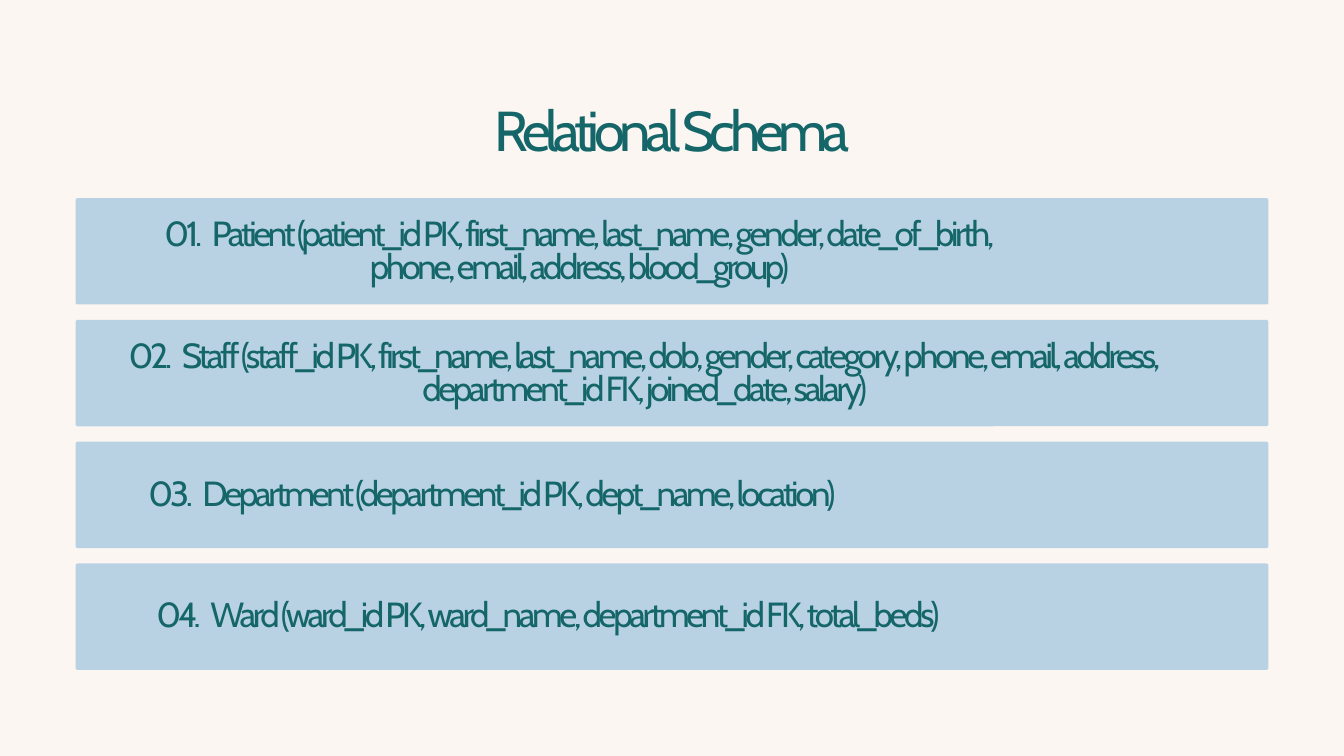
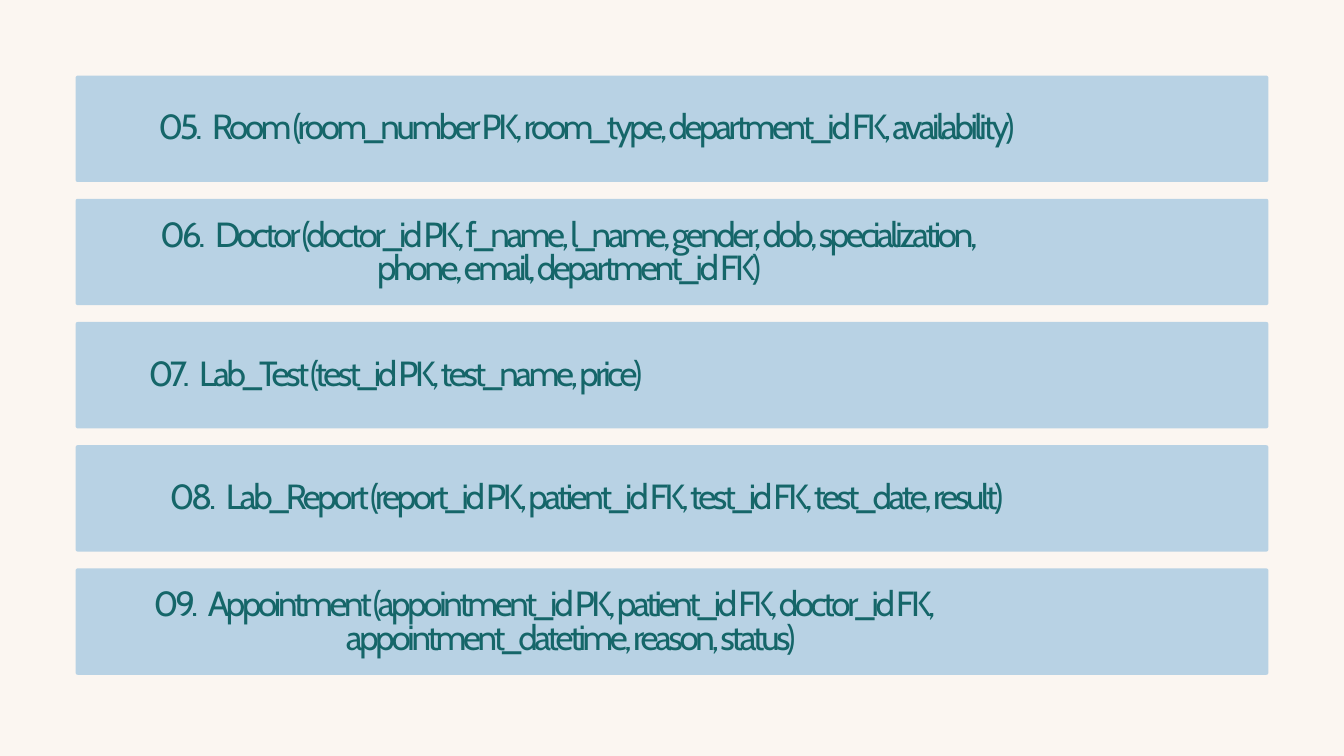
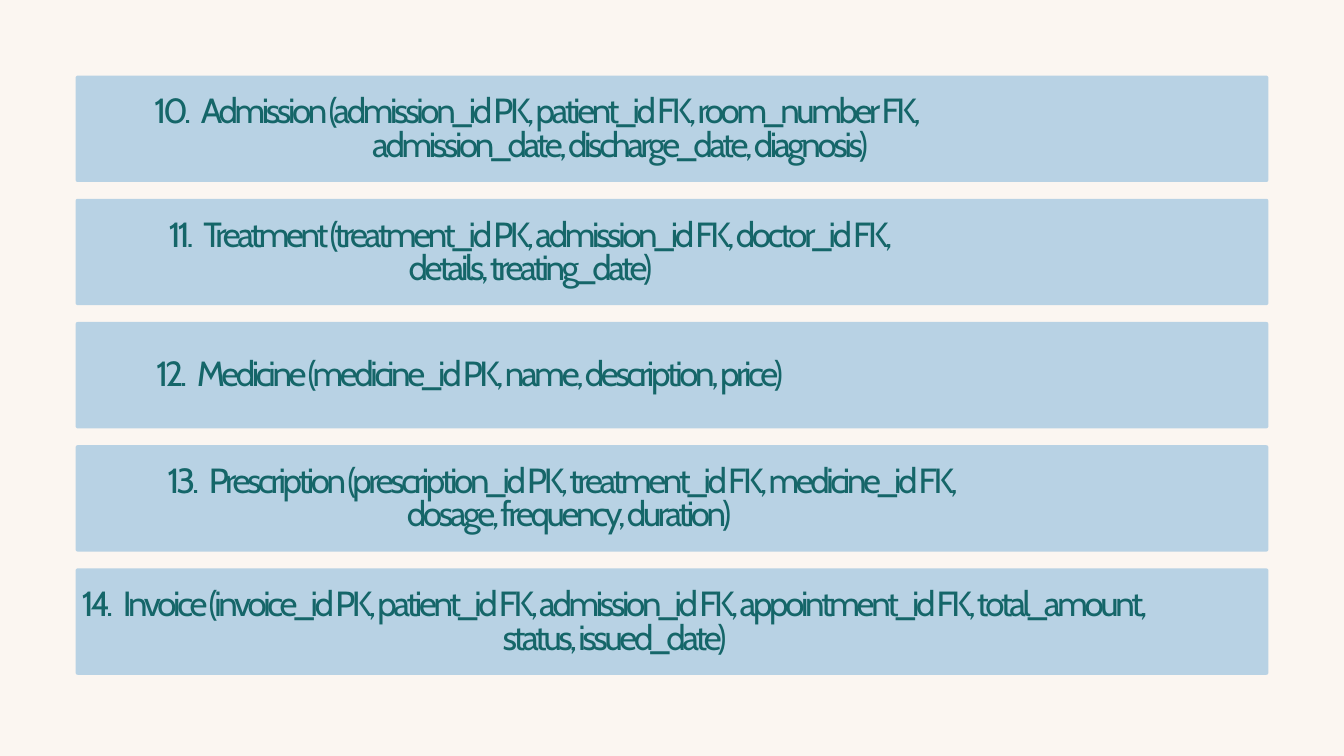
from dataclasses import dataclass

from pptx import Presentation
from pptx.dml.color import RGBColor as RGB
from pptx.enum.shapes import MSO_SHAPE as SHAPE
from pptx.enum.text import MSO_AUTO_SIZE as AUTO, PP_ALIGN as ALIGN
from pptx.util import Pt

PX = 9525  # EMU per px, 96 px to the inch


class Theme:
    paper = RGB.from_string("FBF6F1")
    band = RGB.from_string("B8D2E4")
    ink = RGB.from_string("156669")
    font = "Cabin"
    title = dict(size=60.2, leading=57.8, tracking=-5.8)
    body = dict(size=37.4, leading=35.9, tracking=-3.6)


@dataclass
class Relation:
    left: int
    lines: list
    width: int = 1626
    indent: int = 0  # left indent of the second line


BAND_X, BAND_W, BAND_H = 108, 1704, 152
LINE_H = 47

# title, top of the first band, step from band to band, relations
SLIDES = [
    ("Relational Schema", 283, 174, [
        Relation(15, ["Patient (patient_id PK, first_name, last_name, gender, date_of_birth,",
                      "phone, email, address, blood_group)"]),
        Relation(108, ["Staff (staff_id PK, first_name, last_name, dob, gender, category, phone, email, address,",
                       "department_id FK, joined_date, salary)"]),
        Relation(-110, ["Department (department_id PK, dept_name, location)"]),
        Relation(-30, ["Ward (ward_id PK, ward_name, department_id FK, total_beds)"]),
    ]),
    (None, 108, 176, [
        Relation(25, ["Room (room_number PK, room_type, department_id FK, availability)"]),
        Relation(0, ["Doctor (doctor_id PK, f_name, l_name, gender, dob, specialization,",
                     "phone, email, department_id FK)"]),
        Relation(-248, ["Lab_Test (test_id PK, test_name, price)"]),
        Relation(25, ["Lab_Report (report_id PK, patient_id FK, test_id FK, test_date, result)"]),
        Relation(-35, ["Appointment (appointment_id PK, patient_id FK, doctor_id FK,",
                       "appointment_datetime, reason, status)"], indent=75),
    ]),
    (None, 108, 176, [
        Relation(-55, ["Admission (admission_id PK, patient_id FK, room_number FK,",
                       "admission_date, discharge_date, diagnosis)"], width=1646, indent=236),
        Relation(-55, ["Treatment (treatment_id PK, admission_id FK, doctor_id FK,",
                       "details, treating_date)"]),
        Relation(-142, ["Medicine (medicine_id PK, name, description, price)"]),
        Relation(-83, ["Prescription (prescription_id PK, treatment_id FK, medicine_id FK,",
                       "dosage, frequency, duration)"], width=1774, indent=18),
        Relation(65, ["Invoice (invoice_id PK, patient_id FK, admission_id FK, appointment_id FK, total_amount,",
                      "status, issued_date)"]),
    ]),
]


def add_run(p, text, *, size, leading, tracking):
    p.line_spacing = Pt(leading)
    r = p.add_run()
    r.text = text
    r.font.name, r.font.size = Theme.font, Pt(size)
    r.font.color.rgb = Theme.ink
    r._r.get_or_add_rPr().set("spc", str(round(tracking * 100)))


def add_text(s, lines, *, box, style, number=None, indent=0):
    """Centred lines; the number leads the first, the indent shifts the others."""
    tf = s.shapes.add_textbox(*(v * PX for v in box)).text_frame
    tf.margin_left = tf.margin_top = tf.margin_right = tf.margin_bottom = 0
    tf.word_wrap = True
    tf.auto_size = AUTO.SHAPE_TO_FIT_TEXT
    for i, line in enumerate(lines):
        p = tf.add_paragraph() if i else tf.paragraphs[0]
        p.alignment = ALIGN.CENTER
        if i and indent:
            p._p.get_or_add_pPr().set("marL", str(indent * PX))
        if number and i == 0:
            add_run(p, f"{number:02}.", **style)
            add_run(p, " ", **{**style, "tracking": 1.8})
        add_run(p, line, **style)


prs = Presentation()
prs.slide_width, prs.slide_height = 1920 * PX, 1080 * PX

number = 0
for title, top, step, relations in SLIDES:
    s = prs.slides.add_slide(prs.slide_layouts[6])
    s.background.fill.solid()
    s.background.fill.fore_color.rgb = Theme.paper
    if title:
        add_text(s, [title], box=(BAND_X, 156, BAND_W, 83), style=Theme.title)
    for row, rel in enumerate(relations):
        number += 1
        y = top + row * step
        band = s.shapes.add_shape(SHAPE.ROUNDED_RECTANGLE, BAND_X * PX, y * PX, BAND_W * PX, BAND_H * PX)
        band.adjustments[0] = 0.02
        band.shadow.inherit = False
        band.fill.solid()
        band.fill.fore_color.rgb = Theme.band
        band.line.fill.background()
        height = LINE_H * len(rel.lines) + 4
        add_text(s, rel.lines, box=(rel.left, y + (BAND_H - height) // 2 + 4, rel.width, height),
                 style=Theme.body, number=number, indent=rel.indent)

prs.save("out.pptx")
